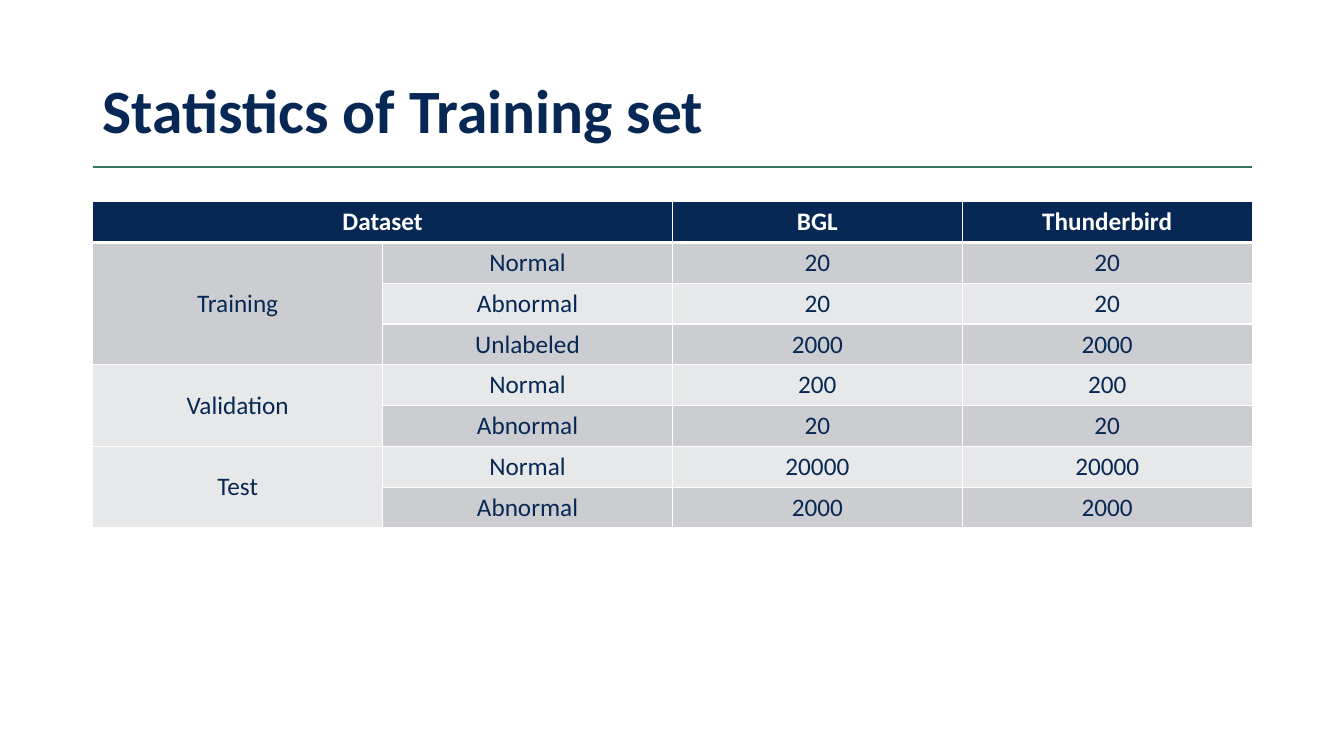
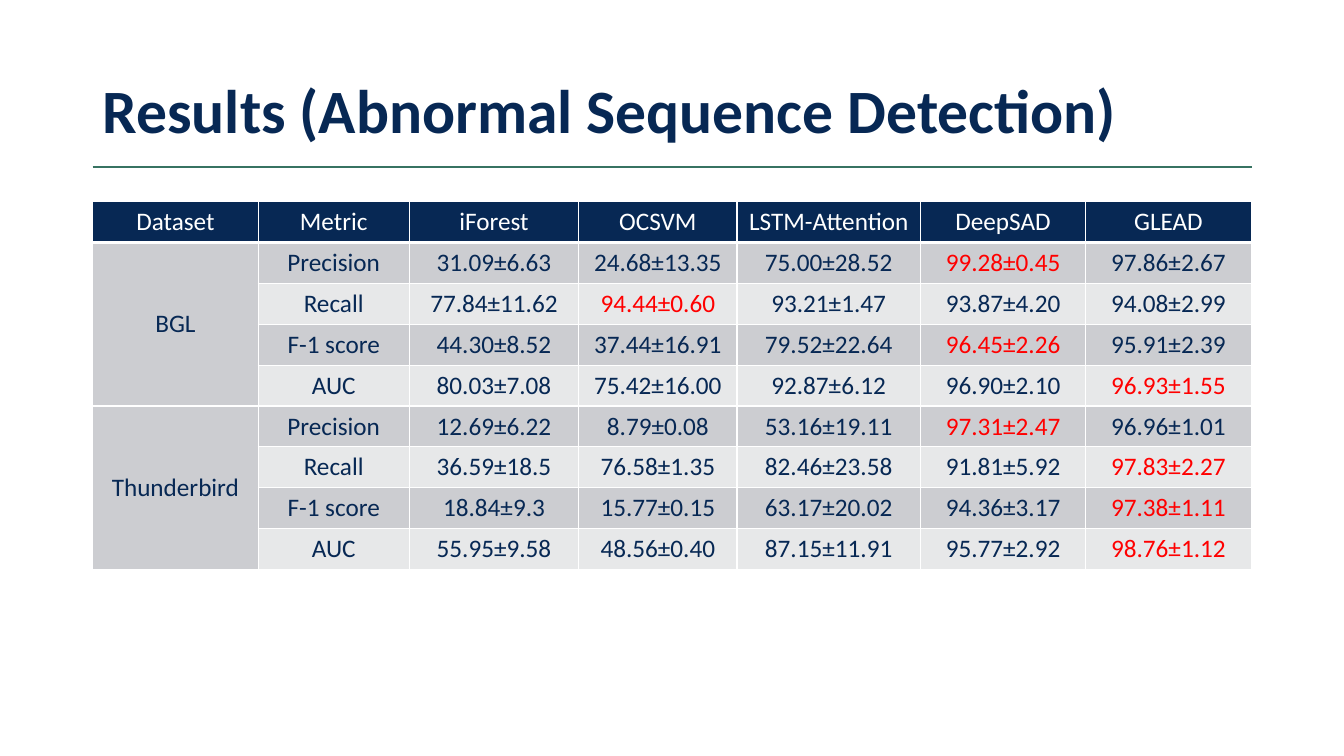
from lxml.etree import SubElement
from pptx import Presentation
from pptx.dml.color import RGBColor
from pptx.enum.shapes import MSO_CONNECTOR
from pptx.enum.text import MSO_ANCHOR, PP_ALIGN
from pptx.oxml import parse_xml
from pptx.oxml.ns import nsdecls, qn
from pptx.util import Inches, Pt

COLORS = {
    "navy": "072854",
    "green": "377362",
    "white": "FFFFFF",
    "red": "FF0000",
    "dark_band": "CCCDD1",
    "light_band": "E7E8E9",
}
FONT = "Calibri"
TITLE_FORMAT = {"name": FONT, "size": Pt(44), "bold": True}
CELL_FORMAT = {"name": FONT, "size": Pt(18), "bold": False}
LEFT, WIDTH = 0.92, 11.5
TITLE_BOX = (LEFT, 0.4, WIDTH, 1.45)
RULE_Y = 1.66
TABLE_TOP = 2

STATISTICS_HEADER = ["Dataset", "", "BGL", "Thunderbird"]
STATISTICS = [
    ("Training", [
        ("Normal", "20", "20"),
        ("Abnormal", "20", "20"),
        ("Unlabeled", "2000", "2000"),
    ]),
    ("Validation", [
        ("Normal", "200", "200"),
        ("Abnormal", "20", "20"),
    ]),
    ("Test", [
        ("Normal", "20000", "20000"),
        ("Abnormal", "2000", "2000"),
    ]),
]

RESULTS_HEADER = ["Dataset", "Metric", "iForest", "OCSVM", "LSTM-Attention", "DeepSAD", "GLEAD"]
RESULTS_WIDTHS = [1.64, 1.5, 1.68, 1.57, 1.82, 1.64, 1.64]
RESULTS = [
    ("BGL", [
        ("Precision", "31.09±6.63", "24.68±13.35", "75.00±28.52", "99.28±0.45", "97.86±2.67"),
        ("Recall", "77.84±11.62", "94.44±0.60", "93.21±1.47", "93.87±4.20", "94.08±2.99"),
        ("F-1 score", "44.30±8.52", "37.44±16.91", "79.52±22.64", "96.45±2.26", "95.91±2.39"),
        ("AUC", "80.03±7.08", "75.42±16.00", "92.87±6.12", "96.90±2.10", "96.93±1.55"),
    ]),
    ("Thunderbird", [
        ("Precision", "12.69±6.22", "8.79±0.08", "53.16±19.11", "97.31±2.47", "96.96±1.01"),
        ("Recall", "36.59±18.5", "76.58±1.35", "82.46±23.58", "91.81±5.92", "97.83±2.27"),
        ("F-1 score", "18.84±9.3", "15.77±0.15", "63.17±20.02", "94.36±3.17", "97.38±1.11"),
        ("AUC", "55.95±9.58", "48.56±0.40", "87.15±11.91", "95.77±2.92", "98.76±1.12"),
    ]),
]


def rgb(name):
    return RGBColor.from_string(COLORS[name])


def write(p, text, color, fmt):
    r = p.add_run()
    r.text = text
    for key, value in fmt.items():
        setattr(r.font, key, value)
    r.font.color.rgb = rgb(color)


def add_title(s, text, box):
    tf = s.shapes.add_textbox(*map(Inches, box)).text_frame
    tf.word_wrap = True
    tf.vertical_anchor = MSO_ANCHOR.MIDDLE
    p = tf.paragraphs[0]
    p.line_spacing = 0.9
    write(p, text, "navy", TITLE_FORMAT)


def add_rule(s, left, top, width):
    line = s.shapes.add_connector(
        MSO_CONNECTOR.STRAIGHT, Inches(left), Inches(top), Inches(left + width), Inches(top))
    line.line.color.rgb = rgb("green")
    line.line.width = Pt(1.5)
    SubElement(line._element.spPr, qn("a:effectLst"))


def add_borders(cell, top, bottom):
    tc_pr = cell._tc.get_or_add_tcPr()
    for i, (side, width) in enumerate({"L": 1, "R": 1, "T": top, "B": bottom}.items()):
        tc_pr.insert(i, parse_xml(
            f'<a:ln{side} {nsdecls("a")} w="{Pt(width)}"><a:solidFill>'
            f'<a:srgbClr val="{COLORS["white"]}"/></a:solidFill></a:ln{side}>'))


def style_cell(cell, row):
    cell.fill.solid()
    band = "dark_band" if row % 2 else "light_band"
    cell.fill.fore_color.rgb = rgb(band if row else "navy")
    add_borders(cell, top=3 if row == 1 else 1, bottom=1 if row else 3)


def fill_cell(cell, text, color, bold=False):
    p = cell.text_frame.paragraphs[0]
    p.alignment = PP_ALIGN.CENTER
    write(p, text, color, CELL_FORMAT | {"bold": bold})


def best_value(values):
    return max(values, key=lambda value: float(value.split("±")[0]))


def add_grouped_table(s, box, header, groups, widths, bold_header=False, mark_best=False):
    n_rows = 1 + sum(len(lines) for _, lines in groups)
    table = s.shapes.add_table(n_rows, len(header), *map(Inches, box)).table
    table.first_row = table.horz_banding = False
    for column, width in zip(table.columns, widths):
        column.width = Inches(width)
    for row in range(n_rows):
        table.rows[row].height = Inches(box[3] / n_rows)
        for col in range(len(header)):
            style_cell(table.cell(row, col), row)

    for col, text in enumerate(header):
        if text:
            fill_cell(table.cell(0, col), text, "white", bold_header)
        else:
            table.cell(0, col - 1).merge(table.cell(0, col))

    row = 1
    for name, lines in groups:
        group = table.cell(row, 0)
        group.merge(table.cell(row + len(lines) - 1, 0))
        group.vertical_anchor = MSO_ANCHOR.MIDDLE
        fill_cell(group, name, "navy")
        for line in lines:
            best = best_value(line[1:]) if mark_best else None
            for col, text in enumerate(line, 1):
                fill_cell(table.cell(row, col), text, "red" if text == best else "navy")
            row += 1


def add_table_slide(prs, title, height, **table_parts):
    s = prs.slides.add_slide(prs.slide_layouts[6])
    add_title(s, title, TITLE_BOX)
    add_rule(s, LEFT, RULE_Y, WIDTH)
    add_grouped_table(s, (LEFT, TABLE_TOP, WIDTH, height), **table_parts)


def main():
    prs = Presentation()
    prs.slide_width, prs.slide_height = Inches(13.33), Inches(7.5)
    add_table_slide(
        prs, "Statistics of Training set", 3.24, header=STATISTICS_HEADER,
        groups=STATISTICS, widths=[WIDTH / 4] * 4, bold_header=True)
    add_table_slide(
        prs, "Results (Abnormal Sequence Detection)", 3.65, header=RESULTS_HEADER,
        groups=RESULTS, widths=RESULTS_WIDTHS, mark_best=True)
    prs.save("out.pptx")


if __name__ == "__main__":
    main()
